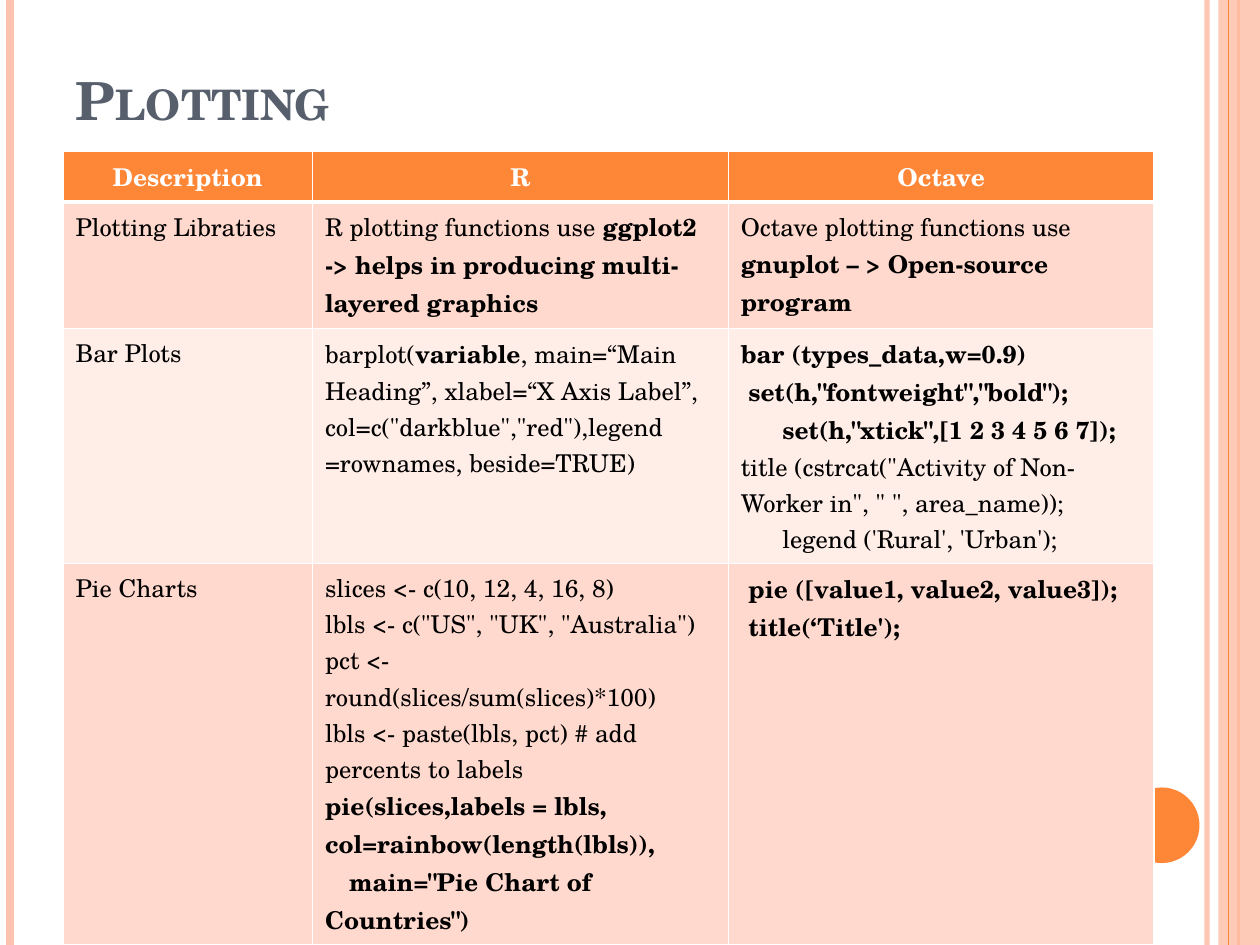
from lxml.etree import SubElement
from pptx import Presentation
from pptx.dml.color import RGBColor
from pptx.enum.shapes import MSO_CONNECTOR, MSO_SHAPE
from pptx.enum.text import MSO_ANCHOR, PP_ALIGN
from pptx.oxml.ns import qn
from pptx.util import Inches, Pt

FONT = "TeX Gyre Schola"
ORANGE, PEACH, WHITE, BLACK, SLATE = "FE8637", "FEC3AE", "FFFFFF", "000000", "575F6D"
BANDS = ["FFD9CE", "FFEDE8"]
PAGE_WIDTH, PAGE_HEIGHT = 10, 7.5
COLUMNS = [1.98, 3.3, 3.38]
ROWS = [0.29, 0.88, 1.58, 2.42]

# A cell is a list of paragraphs: (first-line indent, [(text, bold), ...])
HEADINGS = ["Description", "R", "Octave"]
BODY = [
    [
        [(0, [("Plotting Libraties", False)])],
        [(0, [("R plotting functions use ", False),
              ("ggplot2 -> helps in producing multi-layered graphics", True)])],
        [(0, [("Octave plotting functions use ", False),
              ("gnuplot – > Open-source program", True)])],
    ],
    [
        [(0, [("Bar Plots", False)])],
        [(0, [("barplot(", False), ("variable", True),
              (', main=“Main Heading”, xlabel=“X Axis Label”, '
               'col=c("darkblue","red"),legend =rownames, beside=TRUE)', False)])],
        [(0, [("bar (types_data,w=0.9)", True)]),
         (0.06, [('set(h,"fontweight","bold");', True)]),
         (0.33, [('set(h,"xtick",[1 2 3 4 5 6 7]);', True)]),
         (0, [('title (cstrcat("Activity of Non-Worker in", " ", area_name));', False)]),
         (0.33, [("legend ('Rural', 'Urban');", False)])],
    ],
    [
        [(0, [("Pie Charts", False)])],
        [(0, [("slices <- c(10, 12, 4, 16, 8)", False)]),
         (0, [('lbls <- c("US", "UK", "Australia")', False)]),
         (0, [("pct <- round(slices/sum(slices)*100)", False)]),
         (0, [("lbls <- paste(lbls, pct) # add percents to labels", False)]),
         (0, [("pie(slices,labels = lbls, col=rainbow(length(lbls)),", True)]),
         (0.19, [('main="Pie Chart of Countries")', True)])],
        [(0.06, [("pie ([value1, value2, value3]);", True)]),
         (0.06, [("title(‘Title');", True)])],
    ],
]


def color(value):
    return RGBColor.from_string(value)


def set_opacity(element, percent):
    for fill_color in element.iter(qn("a:srgbClr")):
        SubElement(fill_color, qn("a:alpha"), val=str(percent * 1000))


def add_span(para, text, size, ink, bold):
    span = para.add_run()
    span.text = text
    span.font.name, span.font.size, span.font.bold = FONT, Pt(size), bold
    span.font.color.rgb = color(ink)
    return span


def add_stripe(page, x, width, ink, opacity=100):
    """Draw a vertical line over the full height of the page."""
    stripe = page.shapes.add_connector(
        MSO_CONNECTOR.STRAIGHT, Inches(x), 0, Inches(x), Inches(PAGE_HEIGHT))
    stripe.line.width = Pt(width)
    stripe.line.color.rgb = color(ink)
    properties = stripe._element.spPr
    SubElement(properties, qn("a:effectLst"))
    if opacity < 100:
        set_opacity(properties, opacity)


def add_plain_shape(page, kind, box, ink):
    shape = page.shapes.add_shape(kind, *map(Inches, box))
    shape.shadow.inherit = False
    shape.fill.solid()
    shape.fill.fore_color.rgb = color(ink)
    shape.line.fill.background()
    return shape


def add_decoration(page):
    add_stripe(page, 9.58, 3, PEACH, 93)
    add_stripe(page, 0.08, 4.5, PEACH)
    add_stripe(page, 9.83, 1.5, ORANGE)
    band = add_plain_shape(page, MSO_SHAPE.RECTANGLE,
                           (PAGE_WIDTH - 0.33, 0, 0.33, PAGE_HEIGHT), PEACH)
    set_opacity(band._element.spPr, 87)
    add_stripe(page, 9.75, 0.75, ORANGE)
    add_plain_shape(page, MSO_SHAPE.OVAL, (8.92, 6.25, 0.6, 0.6), ORANGE)


def set_title(page, text, box):
    title = page.shapes.title
    title.left, title.top, title.width, title.height = map(Inches, box)
    frame = title.text_frame
    frame.vertical_anchor = MSO_ANCHOR.BOTTOM
    para = frame.paragraphs[0]
    para.alignment = PP_ALIGN.LEFT
    span = add_span(para, text, 30, SLATE, True)
    span.font._element.set("cap", "small")


def set_borders(cell, widths):
    """Give the cell white borders, with widths by side: L, R, T, B."""
    properties = cell._tc.get_or_add_tcPr()
    for side, width in widths.items():
        border = SubElement(properties, qn(f"a:ln{side}"), w=str(Pt(width)))
        fill = SubElement(border, qn("a:solidFill"))
        SubElement(fill, qn("a:srgbClr"), val=WHITE)


def fill_cell(cell, paragraphs, ink, background, alignment):
    cell.fill.solid()
    cell.fill.fore_color.rgb = color(background)
    frame = cell.text_frame
    for index, (indent, spans) in enumerate(paragraphs):
        para = frame.add_paragraph() if index else frame.paragraphs[0]
        para.alignment = alignment
        if indent:
            para._p.get_or_add_pPr().set("indent", str(Inches(indent)))
        for text, bold in spans:
            add_span(para, text, 14, ink, bold)


def add_comparison(page, left, top):
    table = page.shapes.add_table(
        len(ROWS), len(COLUMNS), Inches(left), Inches(top),
        Inches(sum(COLUMNS)), Inches(sum(ROWS))).table
    for column, width in zip(table.columns, COLUMNS):
        column.width = Inches(width)
    for row, height in zip(table.rows, ROWS):
        row.height = Inches(height)
    header = [[(0, [(heading, True)])] for heading in HEADINGS]
    for r, cells in enumerate([header] + BODY):
        for c, paragraphs in enumerate(cells):
            cell = table.cell(r, c)
            set_borders(cell, {"L": 1, "R": 1, "T": 3 if r == 1 else 1,
                               "B": 3 if r == 0 else 1})
            if r == 0:
                fill_cell(cell, paragraphs, WHITE, ORANGE, PP_ALIGN.CENTER)
            else:
                fill_cell(cell, paragraphs, BLACK, BANDS[(r - 1) % 2], PP_ALIGN.LEFT)


def main():
    deck = Presentation()
    deck.slide_width, deck.slide_height = Inches(PAGE_WIDTH), Inches(PAGE_HEIGHT)
    page = deck.slides.add_slide(deck.slide_layouts[5])
    add_decoration(page)
    set_title(page, "Plotting", (0.5, 0.42, 8.17, 0.67))
    add_comparison(page, 0.5, 1.2)
    deck.save("out.pptx")


if __name__ == "__main__":
    main()
